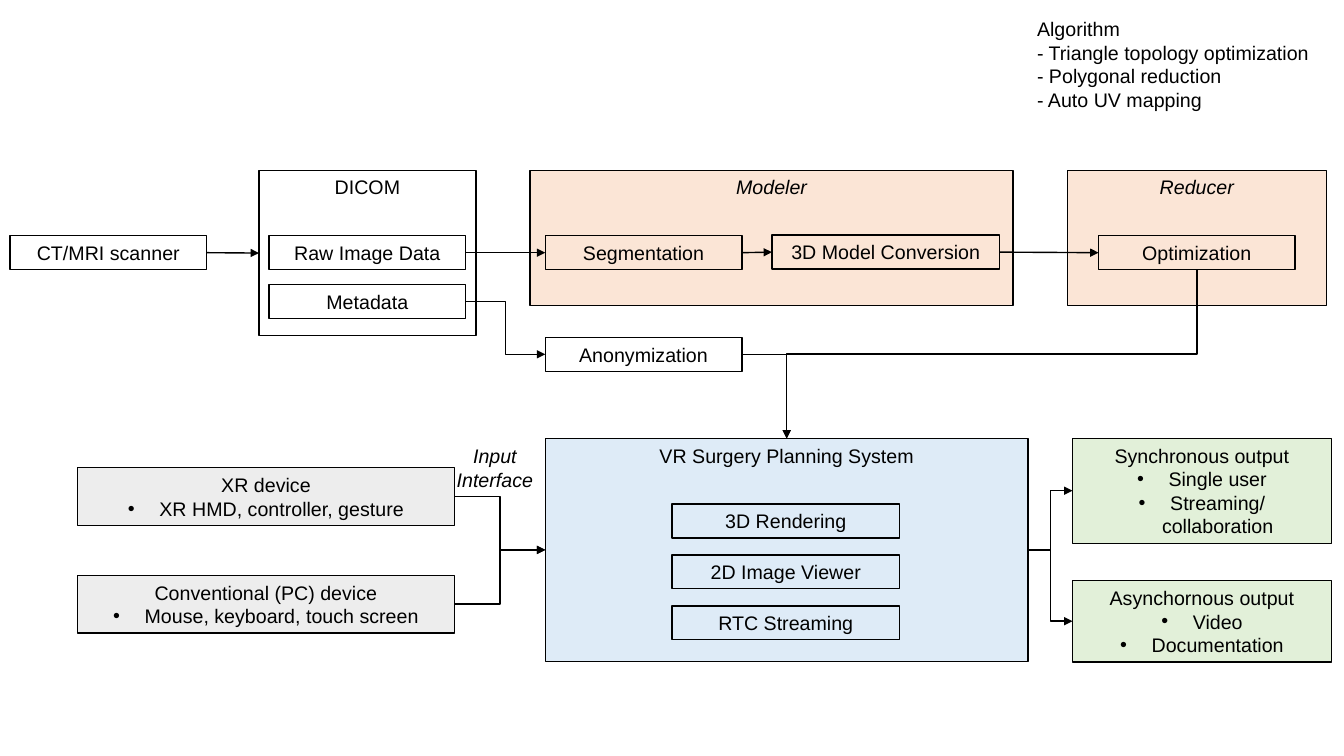
from dataclasses import dataclass, field

from lxml.etree import SubElement
from pptx import Presentation
from pptx.dml.color import RGBColor as RGB
from pptx.enum.shapes import MSO_CONNECTOR as CONN, MSO_SHAPE as SHAPE
from pptx.enum.text import MSO_ANCHOR as ANCHOR, MSO_AUTO_SIZE as AUTO, PP_ALIGN as ALIGN
from pptx.oxml.ns import qn
from pptx.util import Pt

COLORS = {"ink": "000000", "tool": "FBE5D6", "system": "DEEBF7", "input": "EDEDED", "output": "E2F0D9"}
FONT = {"name": "Arial", "size": Pt(14)}
TOP, LEFT, BOTTOM, RIGHT = range(4)
ROW, ROW_H = 168.4, 24.2
NARROW, WIDE, PANEL, SIDE, DEVICE = 140.4, 162.7, 344.9, 185, 269.3


@dataclass
class Box:
    """A bordered rectangle with a title and optional bullets."""
    title: str
    left: float
    top: float
    width: float
    height: float = ROW_H
    fill: str = ""
    bullets: list[str] = field(default_factory=list)
    panel: bool = False
    italic: bool = False


@dataclass
class Link:
    """An arrow between the sides of two boxes."""
    start: str
    end: str
    kind: str = "straight"
    start_side: int = RIGHT
    end_side: int = LEFT


@dataclass
class Label:
    """A text box without border."""
    lines: list[str]
    left: float
    top: float
    width: float
    height: float
    wrap: bool = True
    italic: bool = False


BOXES = [
    Box("CT/MRI scanner", 7.2, ROW, NARROW),
    Box("DICOM", 185, 121.7, 155, 118.1, panel=True),
    Box("Raw Image Data", 192.2, ROW, NARROW),
    Box("Metadata", 192.2, 203.2, NARROW),
    Box("Anonymization", 389.5, 241, NARROW),
    Box("Modeler", 378.7, 121.7, PANEL, 96.5, "tool", panel=True, italic=True),
    Box("Segmentation", 389.5, ROW, NARROW),
    Box("3D Model Conversion", 551.4, 168, WIDE),
    Box("Reducer", 762.4, 121.7, SIDE, 96.5, "tool", panel=True, italic=True),
    Box("Optimization", 784.7, ROW, NARROW),
    Box("VR Surgery Planning System", 389.5, 313.2, PANEL, 159.2, "system", panel=True),
    *[Box(title, 480, 360 + 36.4 * i, WIDE)
      for i, title in enumerate(["3D Rendering", "2D Image Viewer", "RTC Streaming"])],
    Box("XR device", 55.4, 334, DEVICE, 41.2, "input", ["XR HMD, controller, gesture"]),
    Box("Conventional (PC) device", 55.4, 410.9, DEVICE, 41.2, "input", ["Mouse, keyboard, touch screen"]),
    Box("Synchronous output", 766.1, 313, SIDE, 75.1, "output", ["Single user", "Streaming/\vcollaboration"]),
    Box("Asynchornous output", 766.1, 414.6, SIDE, 58.2, "output", ["Video", "Documentation"]),
]

LINKS = [
    Link("CT/MRI scanner", "DICOM"),
    Link("Raw Image Data", "Segmentation"),
    Link("Segmentation", "3D Model Conversion"),
    Link("3D Model Conversion", "Optimization"),
    Link("Metadata", "Anonymization", "elbow"),
    Link("Anonymization", "VR Surgery Planning System", "corner", end_side=TOP),
    Link("Optimization", "VR Surgery Planning System", "down", BOTTOM, TOP),
    Link("XR device", "VR Surgery Planning System", "elbow"),
    Link("Conventional (PC) device", "VR Surgery Planning System", "elbow"),
    Link("VR Surgery Planning System", "Synchronous output", "elbow"),
    Link("VR Surgery Planning System", "Asynchornous output", "elbow"),
]

LABELS = [
    Label(["Algorithm", "- Triangle topology optimization", "- Polygonal reduction", "- Auto UV mapping"],
          733.7, 8.6, 213.1, 75.1, wrap=False),
    Label(["Input Interface"], 305.3, 313.7, 96.5, 41.2, italic=True),
]


def write(tf, lines: list[str], align, italic: bool = False) -> None:
    """Fill a text frame with one formatted paragraph per line."""
    for i, line in enumerate(lines):
        p = tf.add_paragraph() if i else tf.paragraphs[0]
        p.text, p.alignment = line, align
        for r in p.runs:
            for name, value in {**FONT, "italic": italic}.items():
                setattr(r.font, name, value)
            r.font.color.rgb = RGB.from_string(COLORS["ink"])
        for br in p._p.findall(qn("a:br")):
            SubElement(br, qn("a:rPr"), sz="1400")


def add_bullet(p) -> None:
    """Give a paragraph a hanging round bullet."""
    pPr = p._p.get_or_add_pPr()
    pPr.set("marL", str(Pt(22.5)))
    pPr.set("indent", str(-Pt(22.5)))
    SubElement(pPr, qn("a:buFont"), typeface="Arial")
    SubElement(pPr, qn("a:buChar"), char="•")


def outline(line) -> None:
    """Set the thin black line shared by boxes and arrows."""
    line.color.rgb = RGB.from_string(COLORS["ink"])
    line.width = Pt(1)


def draw_box(s, box: Box):
    """Draw a box and return its shape."""
    sp = s.shapes.add_shape(SHAPE.RECTANGLE, Pt(box.left), Pt(box.top), Pt(box.width), Pt(box.height))
    sp.shadow.inherit = False
    outline(sp.line)
    if box.fill:
        sp.fill.solid()
        sp.fill.fore_color.rgb = RGB.from_string(COLORS[box.fill])
    else:
        sp.fill.background()
    tf = sp.text_frame
    tf.word_wrap = True
    tf.vertical_anchor = ANCHOR.TOP if box.panel else ANCHOR.MIDDLE
    write(tf, [box.title, *box.bullets], ALIGN.CENTER, box.italic)
    for p in tf.paragraphs[1:]:
        add_bullet(p)
    return sp


def side_point(sp, side: int) -> tuple[int, int]:
    """Return the middle of one side of a shape."""
    fx, fy = {TOP: (1, 0), LEFT: (0, 1), BOTTOM: (1, 2), RIGHT: (2, 1)}[side]
    return sp.left + sp.width * fx // 2, sp.top + sp.height * fy // 2


def draw_link(s, link: Link, nodes: dict) -> None:
    """Draw an arrow joined to both of its boxes."""
    a, b = nodes[link.start], nodes[link.end]
    kind = CONN.STRAIGHT if link.kind == "straight" else CONN.ELBOW
    cx = s.shapes.add_connector(kind, *side_point(a, link.start_side), *side_point(b, link.end_side))
    cx.begin_connect(a, link.start_side)
    cx.end_connect(b, link.end_side)
    outline(cx.line)
    spPr = cx._element.spPr
    SubElement(spPr.find(qn("a:ln")), qn("a:tailEnd"), type="triangle")
    SubElement(spPr, qn("a:effectLst"))
    if link.kind == "corner":
        spPr.find(qn("a:prstGeom")).set("prst", "bentConnector2")
    elif link.kind == "down":
        w, h = cx.width, cx.height
        cx.left, cx.top = cx.left + (w - h) // 2, cx.top + (h - w) // 2
        cx.width, cx.height = h, w
        xfrm = spPr.find(qn("a:xfrm"))
        xfrm.attrib.pop("flipH", None)
        xfrm.set("rot", "5400000")


def draw_label(s, label: Label) -> None:
    """Draw a free text label."""
    sp = s.shapes.add_textbox(Pt(label.left), Pt(label.top), Pt(label.width), Pt(label.height))
    tf = sp.text_frame
    tf.word_wrap, tf.auto_size = label.wrap, AUTO.SHAPE_TO_FIT_TEXT
    write(tf, label.lines, ALIGN.CENTER if label.wrap else ALIGN.LEFT, label.italic)


def main() -> None:
    """Build the slide and save it."""
    prs = Presentation()
    prs.slide_width, prs.slide_height = Pt(960), Pt(540)
    s = prs.slides.add_slide(prs.slide_layouts[6])
    nodes = {box.title: draw_box(s, box) for box in BOXES}
    for link in LINKS:
        draw_link(s, link, nodes)
    for label in LABELS:
        draw_label(s, label)
    prs.save("out.pptx")


if __name__ == "__main__":
    main()
